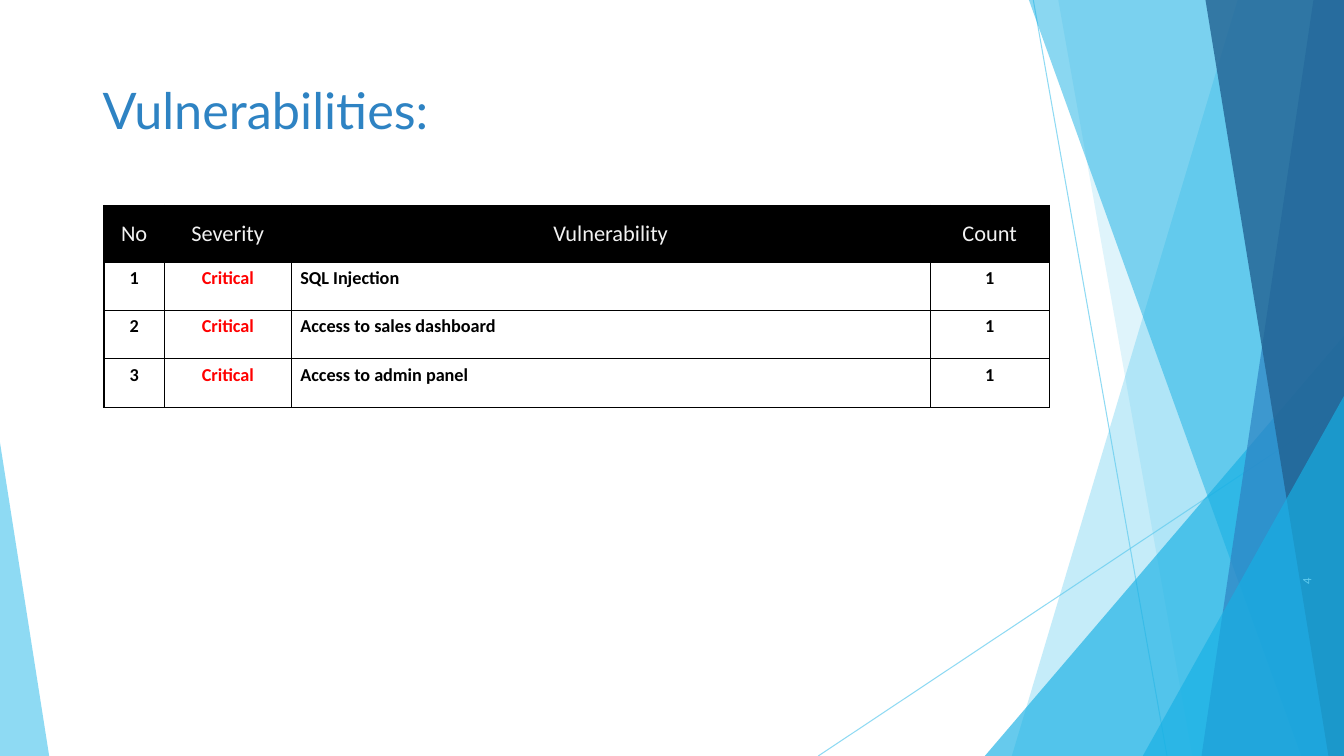
"""Build the vulnerabilities slide: a findings table beside layered blue facets."""
import pptx
import pptx.util
import pptx.dml.color
import pptx.enum.shapes
import pptx.enum.text
import pptx.oxml
import pptx.oxml.ns
from lxml import etree

Cm, Pt = pptx.util.Cm, pptx.util.Pt
ALIGN = pptx.enum.text.PP_ALIGN
ANCHOR = pptx.enum.text.MSO_ANCHOR
SHAPE = pptx.enum.shapes.MSO_SHAPE
qn = pptx.oxml.ns.qn

COLORS = {"sky": "5FCBEF", "cyan": "17B0E4", "blue": "2E83C3", "navy": "226292",
          "black": "000000", "white": "FFFFFF", "pale": "F2F2F2", "red": "FF0000"}
WIDTH, HEIGHT = 33.87, 19.05

TITLE = "Vulnerabilities:"
PAGE = "4"
HEADER = ["No", "Severity", "Vulnerability", "Count"]
FINDINGS = [("SQL Injection", 1), ("Access to sales dashboard", 1), ("Access to admin panel", 1)]
SEVERITY = "Critical"
COL_WIDTHS = [1.52, 3.2, 16.1, 3]
ROW_HEIGHTS = [1.42] + [1.22] * len(FINDINGS)

LINES = [(26.04, 0, 29.41, HEIGHT), (WIDTH, 10.24, 20.62, HEIGHT)]
FACETS = [
    ("band", 31.19, 25.5, "sky", 36),
    ("band", 26.67, 30.05, "sky", 20),
    ("triangle", 24.82, 8.46, 9.05, 1, "cyan", 66),
    ("band", 25.93, 32.79, "cyan", 50),
    ("band", 33.1, 30.28, "blue", 70),
    ("band", 30.38, 33.48, "navy", 80),
    ("triangle", 28.8, 9.98, 5.07, 1, "cyan", 66),
    ("triangle", 0, 11.15, 1.24, 0, "sky", 70),
]


def rgb(name):
    return pptx.dml.color.RGBColor.from_string(COLORS[name])


def set_alpha(sp, percent):
    color = next(sp._element.spPr.iter(qn("a:srgbClr")))
    etree.SubElement(color, qn("a:alpha")).set("val", str(percent * 1000))


def write(tf, text, size, color, font="Calibri", bold=False, align=ALIGN.LEFT, spacing=None):
    p = tf.paragraphs[0]
    p.alignment, p.line_spacing = align, spacing
    r = p.add_run()
    r.text = text
    r.font.size, r.font.name, r.font.bold = Pt(size), font, bold
    r.font.color.rgb = rgb(color)


def add_text(s, box, text, rotation=0, **fmt):
    sp = s.shapes.add_textbox(*map(Cm, box))
    sp.rotation = rotation
    tf = sp.text_frame
    tf.word_wrap, tf.vertical_anchor = True, ANCHOR.MIDDLE
    write(tf, text, **fmt)


def add_line(s, x1, y1, x2, y2):
    sp = s.shapes.add_connector(pptx.enum.shapes.MSO_CONNECTOR.STRAIGHT, *map(Cm, (x1, y1, x2, y2)))
    sp.line.width, sp.line.color.rgb = Pt(0.75), rgb("sky")
    set_alpha(sp, 70)
    etree.SubElement(sp._element.spPr, qn("a:effectLst"))


def add_band(s, top, bottom):
    builder = s.shapes.build_freeform(Cm(top), 0)
    corners = [(WIDTH, 0), (WIDTH, HEIGHT), (bottom, HEIGHT)]
    builder.add_line_segments([(Cm(x), Cm(y)) for x, y in corners])
    return builder.convert_to_shape()


def add_triangle(s, left, top, width, apex):
    sp = s.shapes.add_shape(SHAPE.ISOSCELES_TRIANGLE, *map(Cm, (left, top, width, HEIGHT - top)))
    sp.adjustments[0] = apex
    return sp


def add_facet(s, kind, *args):
    *place, color, alpha = args
    sp = {"band": add_band, "triangle": add_triangle}[kind](s, *place)
    sp.shadow.inherit = False
    sp.fill.solid()
    sp.fill.fore_color.rgb = rgb(color)
    sp.line.fill.background()
    set_alpha(sp, alpha)


def style_cell(cell, fill):
    tcPr = cell._tc.get_or_add_tcPr()
    for side in ("lnL", "lnR", "lnT", "lnB"):
        ln = etree.SubElement(tcPr, qn("a:" + side), w=str(Pt(1)))
        solid = etree.SubElement(ln, qn("a:solidFill"))
        etree.SubElement(solid, qn("a:srgbClr"), val=COLORS["black"])
    if fill:
        cell.fill.solid()
        cell.fill.fore_color.rgb = rgb(fill)
    else:
        cell.fill.background()
    cell.margin_left = cell.margin_right = Cm(0.23)
    cell.margin_top = cell.margin_bottom = Cm(0.13)


def add_findings(s, left, top):
    rows = [HEADER] + [(str(n), SEVERITY, name, str(count))
                       for n, (name, count) in enumerate(FINDINGS, 1)]
    size = sum(COL_WIDTHS), sum(ROW_HEIGHTS)
    table = s.shapes.add_table(len(rows), len(HEADER), *map(Cm, (left, top, *size))).table
    for col, width in zip(table.columns, COL_WIDTHS):
        col.width = Cm(width)
    for row, height in zip(table.rows, ROW_HEIGHTS):
        row.height = Cm(height)
    for i, row in enumerate(rows):
        for j, text in enumerate(row):
            cell = table.cell(i, j)
            style_cell(cell, None if i else "black")
            if i == 0:
                cell.vertical_anchor = ANCHOR.MIDDLE
                write(cell.text_frame, text, 16, "pale", align=ALIGN.CENTER)
            else:
                write(cell.text_frame, text, 13, "red" if j == 1 else "black", bold=True,
                      align=ALIGN.LEFT if j == 2 else ALIGN.CENTER)


prs = pptx.Presentation()
prs.slide_width, prs.slide_height = Cm(WIDTH), Cm(HEIGHT)
s = prs.slides.add_slide(prs.slide_layouts[6])
s.background.fill.solid()
s.background.fill.fore_color.rgb = rgb("white")
for line in LINES:
    add_line(s, *line)
for facet in FACETS:
    add_facet(s, *facet)
add_text(s, (2.34, 1.02, 29.21, 3.68), TITLE, size=36, color="blue", font="Lato", spacing=0.9)
add_text(s, (31.09, 15.52, 3.66, 1.27), PAGE, rotation=270, size=9, color="sky", align=ALIGN.RIGHT)
add_findings(s, 2.62, 5.18)
prs.save("out.pptx")
